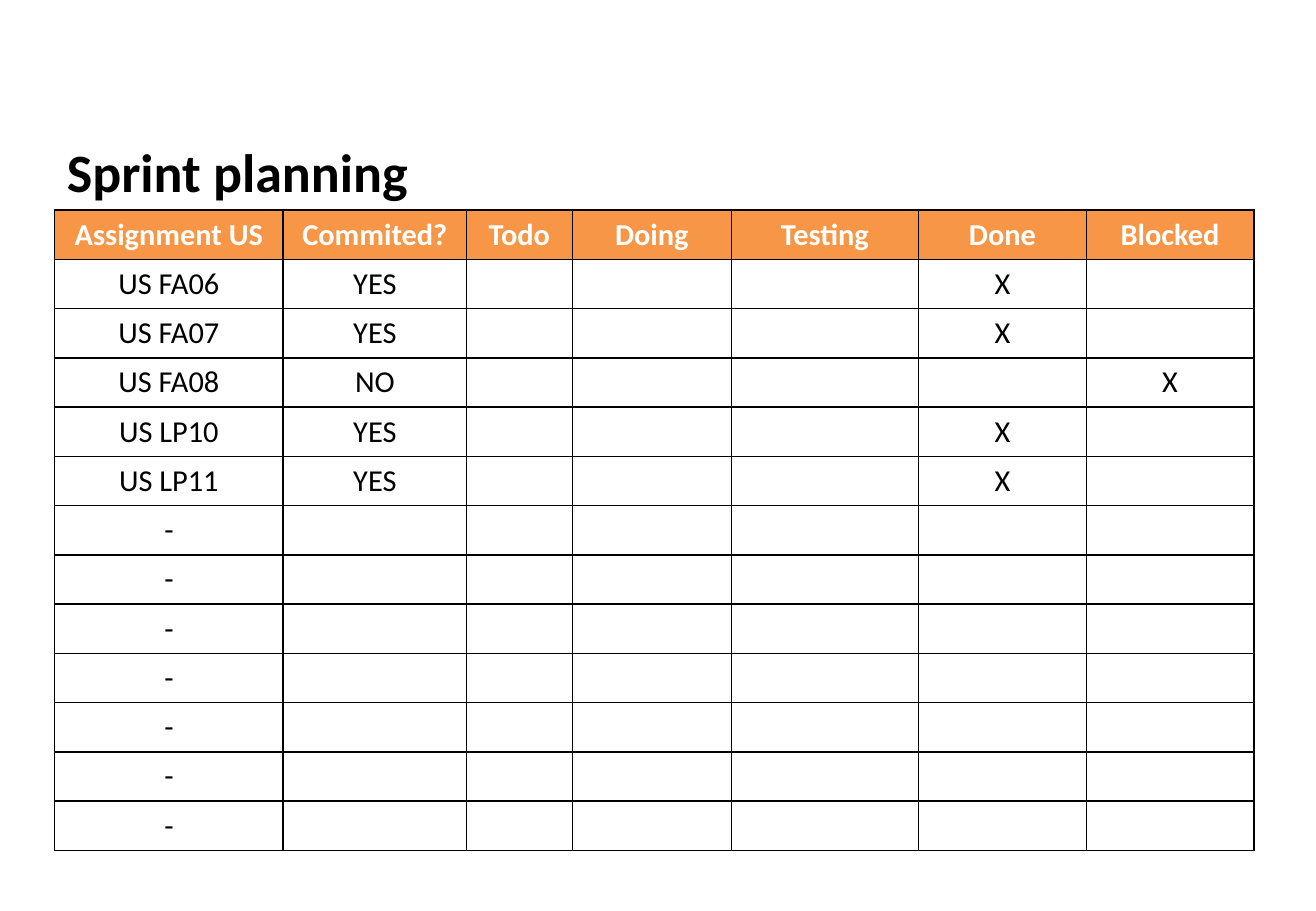
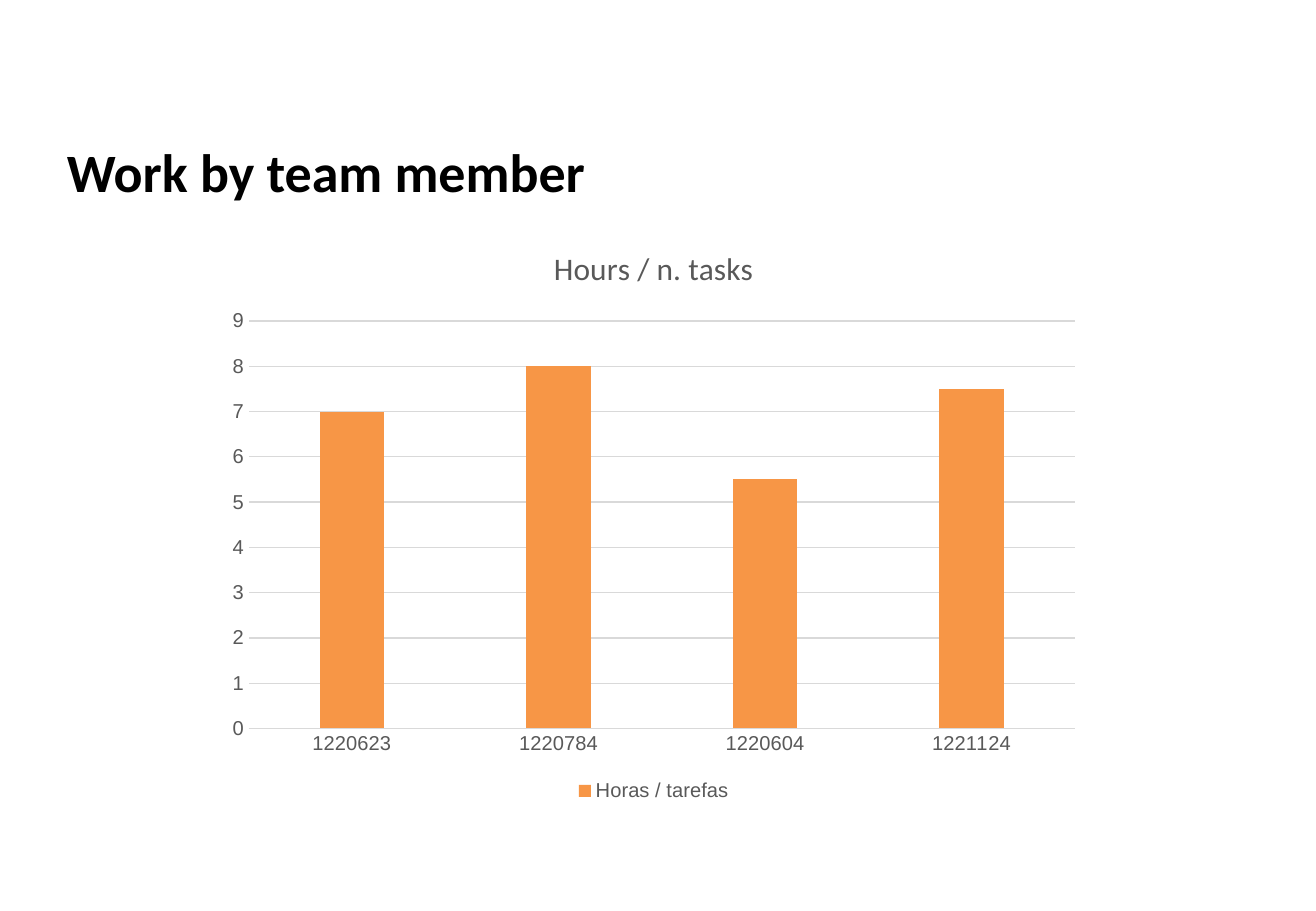
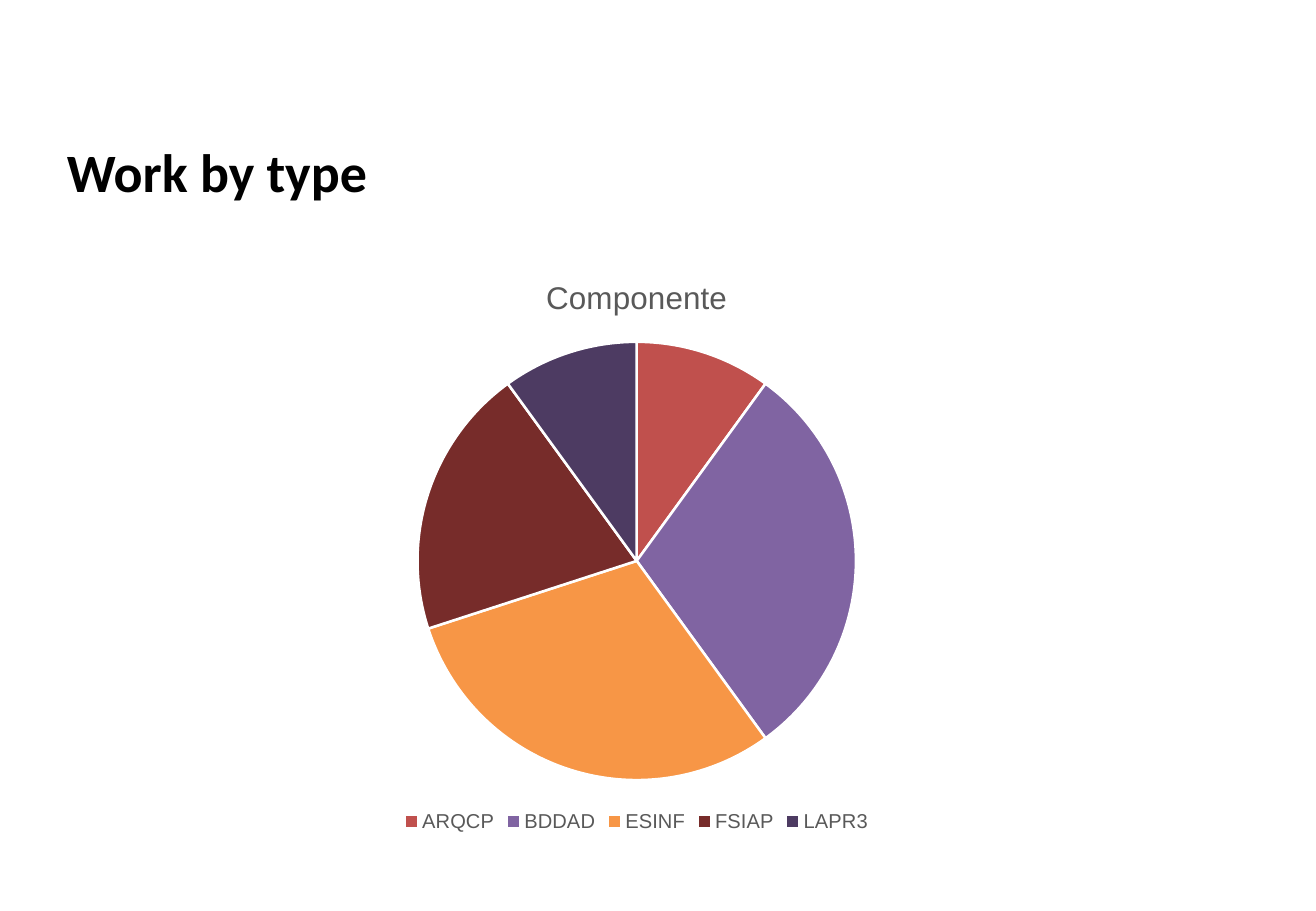
import pptx
import pptx.chart.data
import pptx.dml.color
import pptx.enum.chart
import pptx.enum.text
import pptx.oxml
import pptx.oxml.ns
import pptx.util
from pptx.util import Inches, Pt

COLORS = {
    "black": "000000", "white": "FFFFFF", "orange": "F79646",
    "label": "595959", "grid": "D9D9D9", "red": "C0504D",
    "purple": "8064A2", "dark red": "772C2A", "dark purple": "4D3B62",
}
TITLE_FONT = "Calibri"
CHART_FONT = "Arial"
LEFT = 0.45
TITLE_ONLY = 5

HEADERS = ["Assignment US", "Commited?", "Todo", "Doing", "Testing", "Done", "Blocked"]
COLUMN_WIDTHS = [1.88, 1.51, 0.87, 1.31, 1.54, 1.38, 1.38]
ROW_HEIGHT = 0.405
STORIES = [  # story, committed, column marked with X
    ("US FA06", "YES", "Done"),
    ("US FA07", "YES", "Done"),
    ("US FA08", "NO", "Blocked"),
    ("US LP10", "YES", "Done"),
    ("US LP11", "YES", "Done"),
]
OPEN_ROWS = 7


def rgb(name):
    return pptx.dml.color.RGBColor.from_string(COLORS[name])


def style_font(font, face, size, color, bold=False):
    font.name = face
    font.size = Pt(size)
    font.bold = bold
    font.color.rgb = rgb(color)


def fill_solid(fill, color):
    fill.solid()
    fill.fore_color.rgb = rgb(color)


def add_titled_slide(deck, text, width=9.89):
    page = deck.slides.add_slide(deck.slide_layouts[TITLE_ONLY])
    title = page.shapes.title
    title.left, title.top = Inches(LEFT), Inches(1.09)
    title.width, title.height = Inches(width), Inches(0.63)
    frame = title.text_frame
    frame.vertical_anchor = pptx.enum.text.MSO_ANCHOR.MIDDLE
    para = frame.paragraphs[0]
    para.alignment = pptx.enum.text.PP_ALIGN.LEFT
    span = para.add_run()
    span.text = text
    style_font(span.font, TITLE_FONT, 32, "black", bold=True)
    return page


def add_cell_borders(cell):
    properties = cell._tc.get_or_add_tcPr()
    for side in ("lnL", "lnR", "lnT", "lnB"):
        properties.append(pptx.oxml.parse_xml(
            f'<a:{side} {pptx.oxml.ns.nsdecls("a")} w="{Pt(1)}"><a:solidFill>'
            f'<a:srgbClr val="{COLORS["black"]}"/></a:solidFill></a:{side}>'))


def fill_cell(cell, text, is_header):
    add_cell_borders(cell)
    fill_solid(cell.fill, "orange" if is_header else "white")
    cell.vertical_anchor = pptx.enum.text.MSO_ANCHOR.MIDDLE
    para = cell.text_frame.paragraphs[0]
    para.alignment = pptx.enum.text.PP_ALIGN.CENTER
    if text:
        span = para.add_run()
        span.text = text
        style_font(span.font, TITLE_FONT, 18, "white" if is_header else "black", is_header)


def planning_rows():
    rows = [HEADERS]
    for story, committed, status in STORIES:
        marks = ["X" if header == status else "" for header in HEADERS[2:]]
        rows.append([story, committed] + marks)
    return rows + [["-"] + [""] * (len(HEADERS) - 1)] * OPEN_ROWS


def add_planning_table(page):
    rows = planning_rows()
    table = page.shapes.add_table(
        len(rows), len(HEADERS), Inches(LEFT), Inches(1.73),
        Inches(sum(COLUMN_WIDTHS)), Inches(ROW_HEIGHT * len(rows))).table
    table.horz_banding = False
    for column, width in zip(table.columns, COLUMN_WIDTHS):
        column.width = Inches(width)
    for row_index, texts in enumerate(rows):
        table.rows[row_index].height = Inches(ROW_HEIGHT)
        for column_index, text in enumerate(texts):
            fill_cell(table.cell(row_index, column_index), text, row_index == 0)


def add_chart(page, kind, left, top, title, title_face, series_name, values):
    """Add a one-series chart with a title and a legend below; values maps category to number."""
    data = pptx.chart.data.CategoryChartData()
    data.categories = list(values)
    data.add_series(series_name, list(values.values()))
    chart = page.shapes.add_chart(
        kind, Inches(left), Inches(top), Inches(7.22), Inches(4.81), data).chart
    style_font(chart.font, CHART_FONT, 11.9, "label")
    chart.has_title = True
    span = chart.chart_title.text_frame.paragraphs[0].add_run()
    span.text = title
    style_font(span.font, title_face, 18.6, "label")
    chart.chart_title.include_in_layout = False
    chart.has_legend = True
    chart.legend.position = pptx.enum.chart.XL_LEGEND_POSITION.BOTTOM
    chart.legend.include_in_layout = False
    style_font(chart.legend.font, CHART_FONT, 11.9, "label")
    return chart


def style_line(line, color, width):
    line.color.rgb = rgb(color)
    line.width = Pt(width)


def add_hours_chart(page):
    chart = add_chart(
        page, pptx.enum.chart.XL_CHART_TYPE.COLUMN_CLUSTERED, 1.77, 1.83,
        "Hours / n. tasks", TITLE_FONT, "Horas / tarefas",
        {"1220623": 7, "1220784": 8, "1220604": 5.5, "1221124": 7.5})
    plot = chart.plots[0]
    plot.gap_width = 219
    plot.overlap = -27
    plot.vary_by_categories = False
    fill_solid(plot.series[0].format.fill, "orange")
    for axis in (chart.category_axis, chart.value_axis):
        axis.major_tick_mark = pptx.enum.chart.XL_TICK_MARK.NONE
        style_font(axis.tick_labels.font, CHART_FONT, 11.9, "label")
    style_line(chart.category_axis.format.line, "grid", 0.75)
    hours = chart.value_axis
    hours.minimum_scale, hours.maximum_scale, hours.major_unit = 0, 9, 1
    hours.format.line.fill.background()
    style_line(hours.major_gridlines.format.line, "grid", 0.75)


def add_component_chart(page):
    chart = add_chart(
        page, pptx.enum.chart.XL_CHART_TYPE.PIE, 1.63, 2.08,
        "Componente", CHART_FONT, "Componente",
        {"ARQCP": 10, "BDDAD": 30, "ESINF": 30, "FSIAP": 20, "LAPR3": 10})
    plot = chart.plots[0]
    plot.vary_by_categories = True
    slice_colors = ["red", "purple", "orange", "dark red", "dark purple"]
    for index, color in enumerate(slice_colors):
        slice_format = plot.series[0].points[index].format
        fill_solid(slice_format.fill, color)
        style_line(slice_format.line, "white", 1.5)


def main():
    deck = pptx.Presentation()
    deck.slide_width, deck.slide_height = Inches(10.83), Inches(7.5)
    add_planning_table(add_titled_slide(deck, "Sprint planning", width=10.08))
    add_hours_chart(add_titled_slide(deck, "Work by team member"))
    add_component_chart(add_titled_slide(deck, "Work by type"))
    deck.save("out.pptx")


if __name__ == "__main__":
    main()
